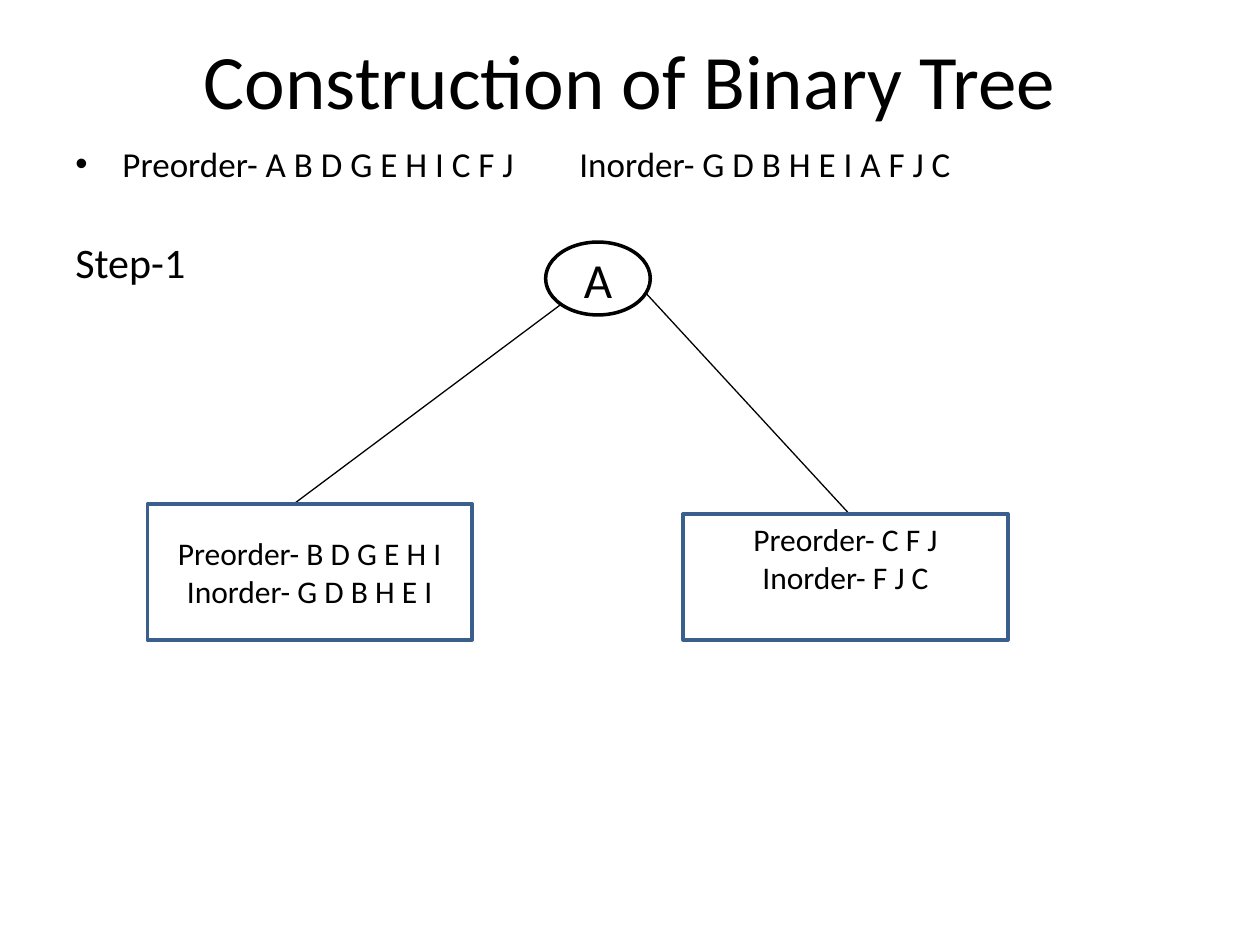
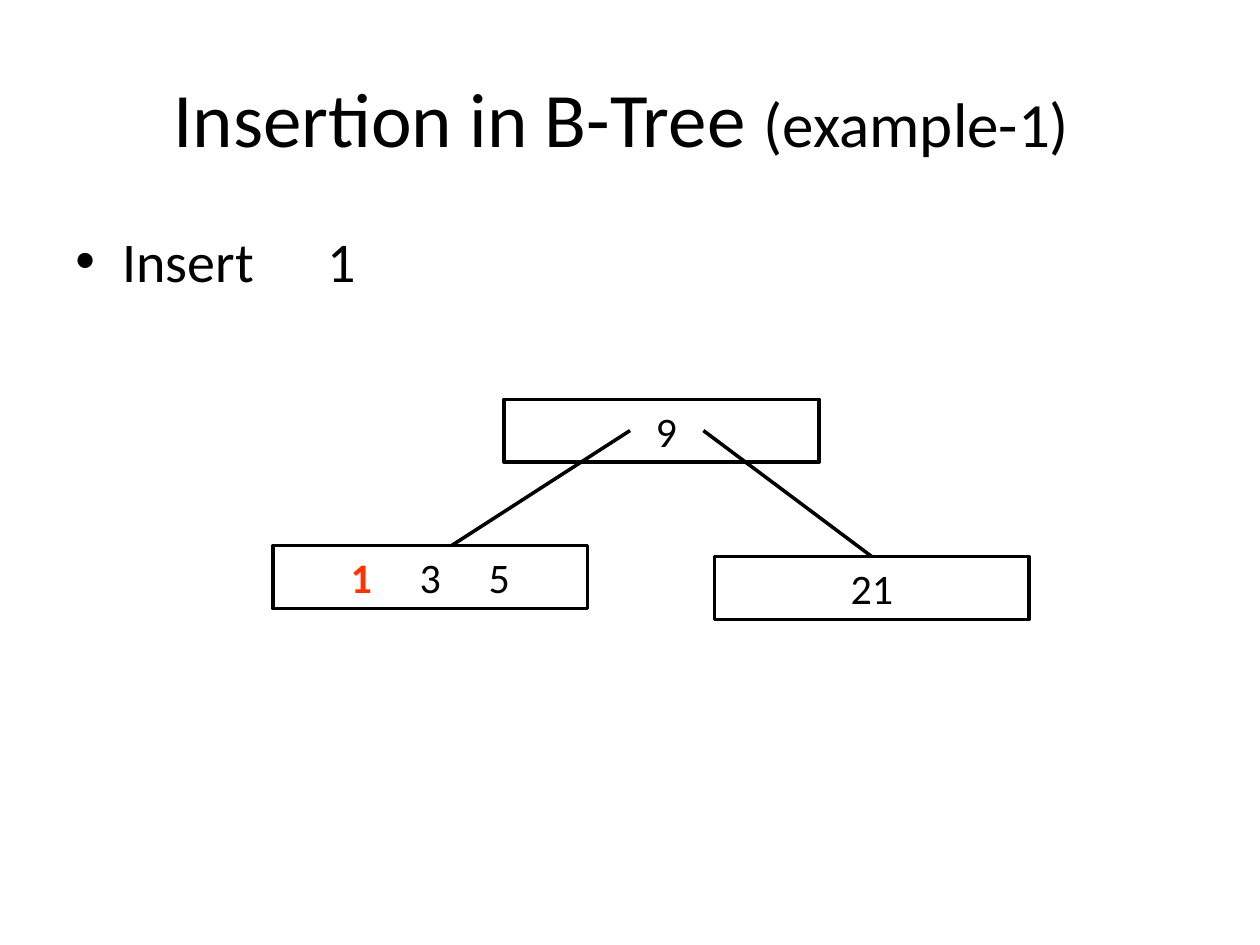
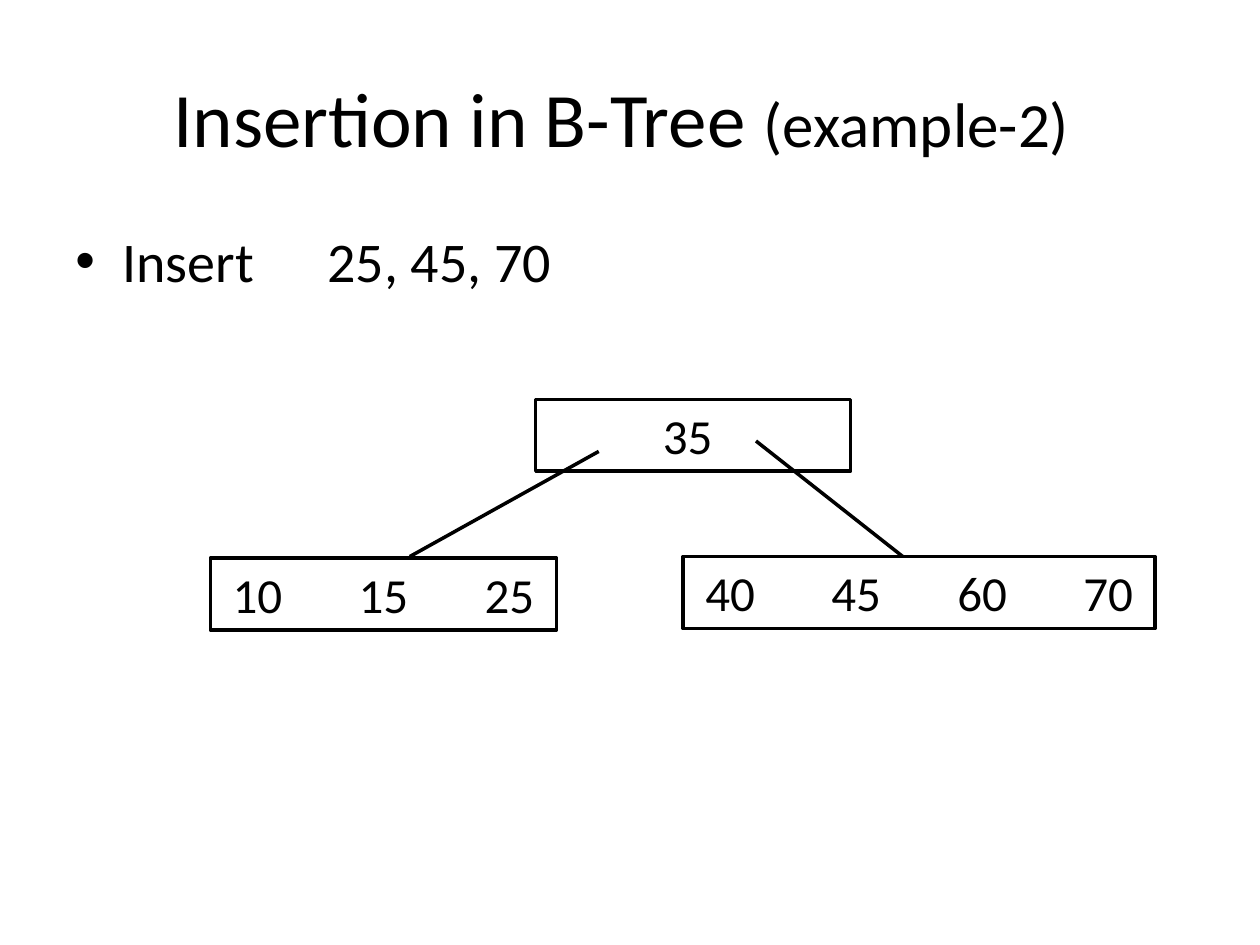
from dataclasses import dataclass

from lxml import etree
from pptx import Presentation
from pptx import util as u
from pptx.dml.color import RGBColor
from pptx.enum import shapes, text
from pptx.oxml.ns import qn

# Shared look
FONT = "Calibri"
BLACK, BLUE, RED = "000000", "3A5F8C", "FF3300"
LEFT, WIDE = 1.27, 22.86
INSET = 0.25
DIGIT = 0.507  # width of a digit, in ems
PT_CM = 2.54 / 72
MID, TOP = text.MSO_ANCHOR.MIDDLE, text.MSO_ANCHOR.TOP


@dataclass
class Run:
    text: str
    size: float
    color: str = BLACK
    bold: bool = False


@dataclass
class Box:
    """Place of an element, in centimetres."""
    x: float
    y: float
    w: float
    h: float


@dataclass
class Node:
    """Outlined shape with one centred paragraph per line of text."""
    box: Box
    lines: list[str]
    size: float
    line: str = BLACK
    kind: int = shapes.MSO_SHAPE.RECTANGLE
    anchor: int = MID


@dataclass
class Keys:
    """B-tree node holding a row of keys at an equal step."""
    box: Box
    keys: list[str]
    size: float
    step: float = 2.54
    new: str = ""


@dataclass
class Edge:
    x1: float
    y1: float
    x2: float
    y2: float
    width: float = 2


def rgb(code: str) -> RGBColor:
    return RGBColor.from_string(code)


def place(box: Box) -> list[u.Length]:
    return [u.Cm(v) for v in (box.x, box.y, box.w, box.h)]


def write(par, runs: list[Run], align=text.PP_ALIGN.CENTER) -> None:
    par.alignment = align
    for item in runs:
        run = par.add_run()
        run.text = item.text
        font = run.font
        font.name, font.size, font.bold = FONT, u.Pt(item.size), item.bold
        font.color.rgb = rgb(item.color)


def label(slide, box: Box, runs: list[Run], align=text.PP_ALIGN.LEFT,
          anchor=TOP, wrap: bool = True):
    frame = slide.shapes.add_textbox(*place(box)).text_frame
    frame.word_wrap, frame.vertical_anchor = wrap, anchor
    write(frame.paragraphs[0], runs, align)
    return frame.paragraphs[0]


def title(slide, runs: list[Run], top: float) -> None:
    label(slide, Box(LEFT, top, WIDE, 3.18), runs,
          text.PP_ALIGN.CENTER, MID)


def bullet(slide, line: str, size: float, top: float, high: float) -> None:
    par = label(slide, Box(LEFT, top, WIDE, high), [Run(line, size)])
    props = par._p.get_or_add_pPr()
    hang = u.Cm(0.95)
    props.set("marL", str(hang))
    props.set("indent", str(-hang))
    props.set("defTabSz", str(u.Cm(2.54)))
    etree.SubElement(props, qn("a:buFont")).set("typeface", "Arial")
    etree.SubElement(props, qn("a:buChar")).set("char", "•")


def outline(slide, box: Box, kind: int, line: str, anchor: int):
    shape = slide.shapes.add_shape(kind, *place(box))
    shape.shadow.inherit = False
    shape.fill.background()
    shape.line.color.rgb = rgb(line)
    shape.line.width = u.Pt(2)
    shape.text_frame.word_wrap = True
    shape.text_frame.vertical_anchor = anchor
    return shape


def node(slide, spec_: Node):
    shape = outline(slide, spec_.box, spec_.kind, spec_.line, spec_.anchor)
    frame = shape.text_frame
    for i, line in enumerate(spec_.lines):
        par = frame.add_paragraph() if i else frame.paragraphs[0]
        write(par, [Run(line, spec_.size)])
    return shape


def keys(slide, row: Keys):
    """Draw a B-tree node; several keys stand on evenly spaced tab stops."""
    if len(row.keys) == 1:
        return node(slide, Node(row.box, row.keys, row.size, anchor=TOP))
    shape = outline(slide, row.box, shapes.MSO_SHAPE.RECTANGLE, BLACK, TOP)
    frame = shape.text_frame
    span = (len(row.keys) - 1) * row.step
    span += len(row.keys[0]) * DIGIT * row.size * PT_CM
    frame.margin_left = u.Cm((row.box.w - span) / 2)
    frame.margin_right = 0
    par = frame.paragraphs[0]
    tabs = etree.SubElement(par._p.get_or_add_pPr(), qn("a:tabLst"))
    runs = []
    for i, key in enumerate(row.keys):
        if i:
            stop = etree.SubElement(tabs, qn("a:tab"))
            stop.set("pos", str(u.Cm(i * row.step)))
            stop.set("algn", "l")
        fresh = key == row.new
        runs.append(Run("\t" * bool(i) + key, row.size,
                        RED if fresh else BLACK, fresh))
    write(par, runs, text.PP_ALIGN.LEFT)
    return shape


def edge(slide, way: Edge, child=None) -> None:
    ends = [u.Cm(v) for v in (way.x1, way.y1, way.x2, way.y2)]
    line = slide.shapes.add_connector(shapes.MSO_CONNECTOR.STRAIGHT, *ends)
    line.line.color.rgb = rgb(BLACK)
    line.line.width = u.Pt(way.width)
    etree.SubElement(line._element.spPr, qn("a:effectLst"))
    if child is not None:
        line.end_connect(child, 0)


def build(slide) -> None:
    """First step of building a binary tree from two traversals."""
    title(slide, [Run("Construction of Binary Tree", 44)], 0)
    bullet(slide, "Preorder- A B D G E H I C F J \tInorder- G D B H E I A F J C",
           20, 2.74, 1.47)
    label(slide, Box(LEFT, 4.65, 2.74, 1.27), [Run("Step-1", 24)], wrap=False)
    node(slide, Node(Box(11, 4.88, 2.11, 1.47), ["A"], 28,
                     kind=shapes.MSO_SHAPE.OVAL))
    edge(slide, Edge(11.33, 6.12, 5.92, 10.16, 0.75))
    edge(slide, Edge(13.03, 5.92, 17.15, 10.39, 0.75))
    node(slide, Node(Box(2.97, 10.16, 6.55, 2.74),
                     ["Preorder- B D G E H I", "Inorder- G D B H E I"],
                     18, BLUE))
    node(slide, Node(Box(13.77, 10.36, 6.55, 2.54),
                     ["Preorder- C F J", "Inorder- F J C"],
                     18, BLUE, anchor=TOP))


def insert(slide, count: int, added: str, rows: list[Keys],
           ways: list[Edge]) -> None:
    """B-tree after insertion: nodes first, then the edges to the children."""
    title(slide, [Run("Insertion in B-Tree ", 44),
                  Run(f"(example-{count})", 36), Run(" ", 44)], 0.76)
    bullet(slide, f"Insert\t{added}", 32, 4.45, 12.57)
    kids = [keys(slide, row) for row in rows][1:]
    for way, kid, row in zip(ways, kids, rows[1:]):
        centre = row.box.x + row.box.w / 2
        edge(slide, way, kid if abs(way.x2 - centre) < 0.02 else None)


def main() -> None:
    deck = Presentation()
    deck.slide_width, deck.slide_height = u.Cm(25.4), u.Cm(19.05)
    blank = deck.slide_layouts[6]
    first, second, third = (deck.slides.add_slide(blank) for _ in range(3))

    build(first)
    insert(second, 1, "1",
           [Keys(Box(10.16, 8.05, 6.35, 1.27), [" 9"], 24),
            Keys(Box(5.5, 11, 6.35, 1.27), ["1", "3", "5"], 24, 1.39, "1"),
            Keys(Box(14.4, 11.22, 6.35, 1.27), ["21"], 24)],
           [Edge(12.7, 8.68, 9.1, 11), Edge(14.18, 8.68, 17.58, 11.22)])
    insert(third, 2, "25, 45, 70",
           [Keys(Box(10.8, 8.05, 6.35, 1.45), ["35 "], 28),
            Keys(Box(4.24, 11.25, 6.98, 1.45), ["10", "15", "25"], 28),
            Keys(Box(13.77, 11.22, 9.52, 1.45), ["40", "45", "60", "70"], 28)],
           [Edge(12.07, 9.1, 8.26, 11.22), Edge(15.24, 8.89, 18.2, 11.22)])
    deck.save("out.pptx")


if __name__ == "__main__":
    main()
